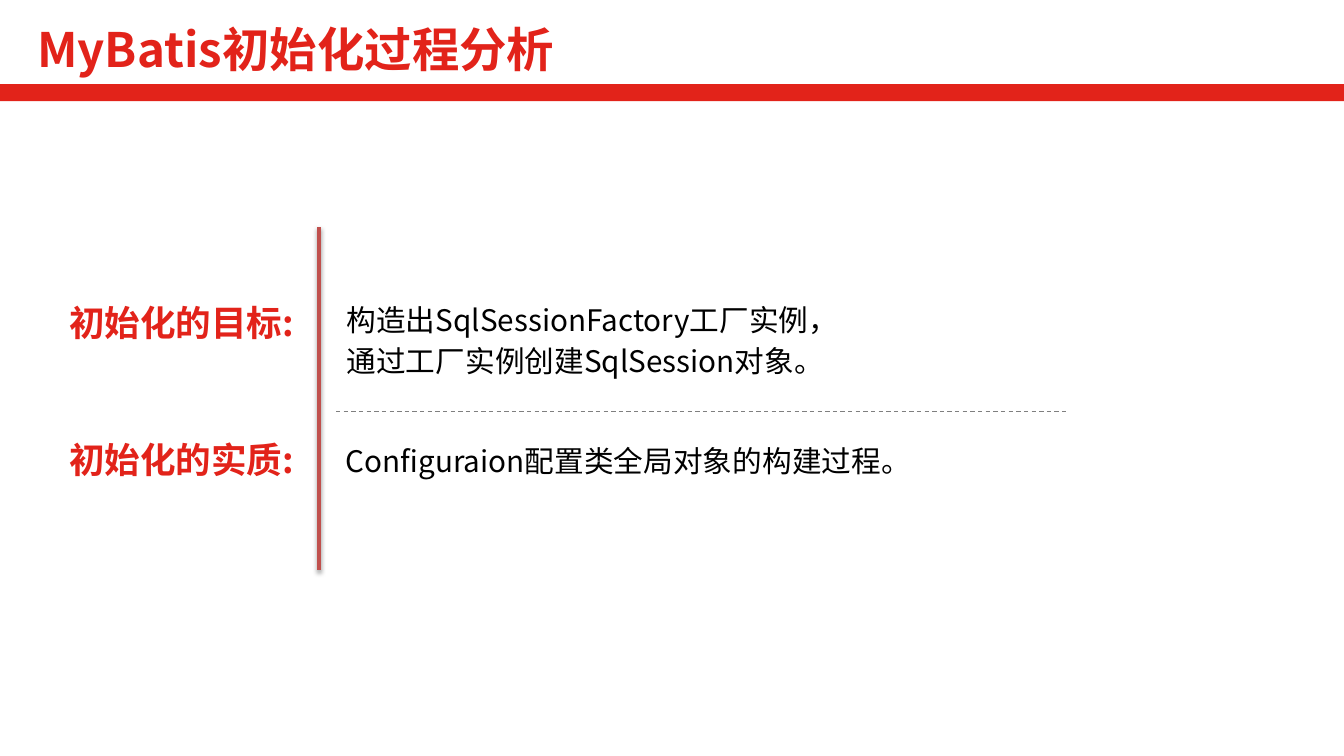
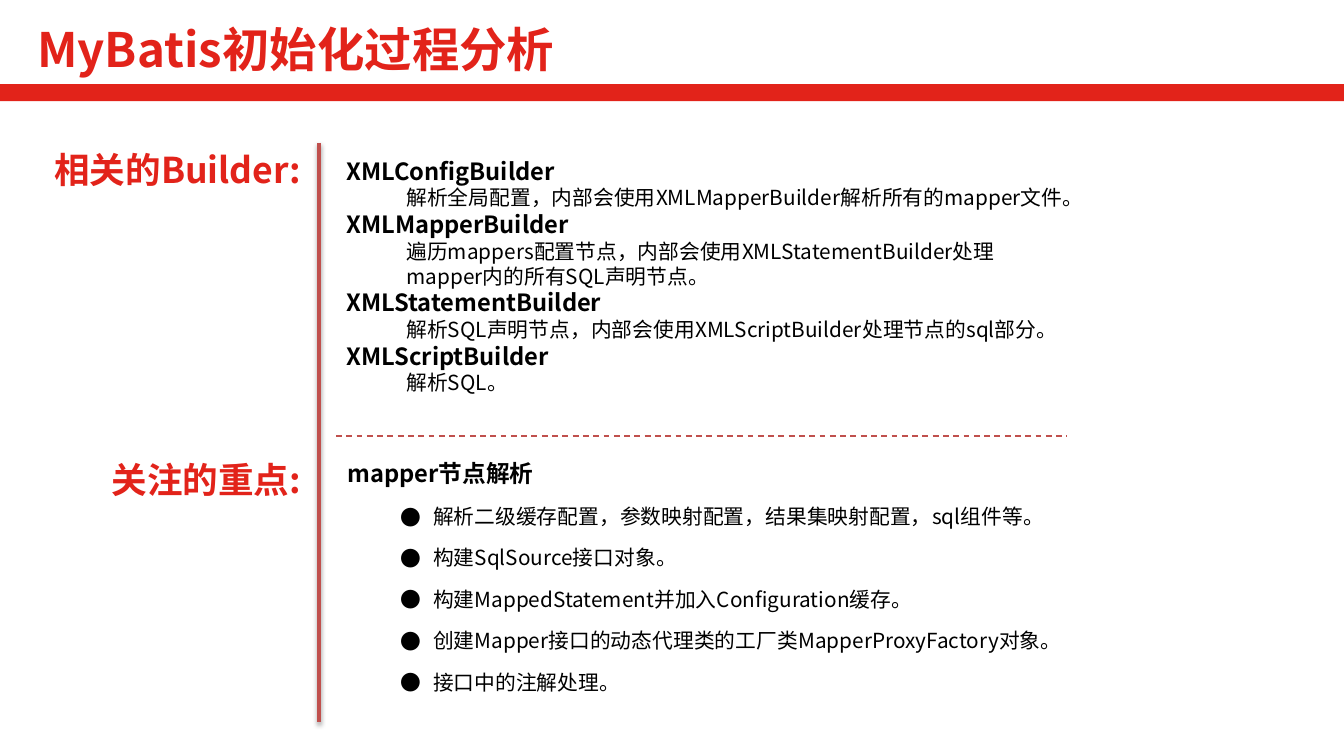
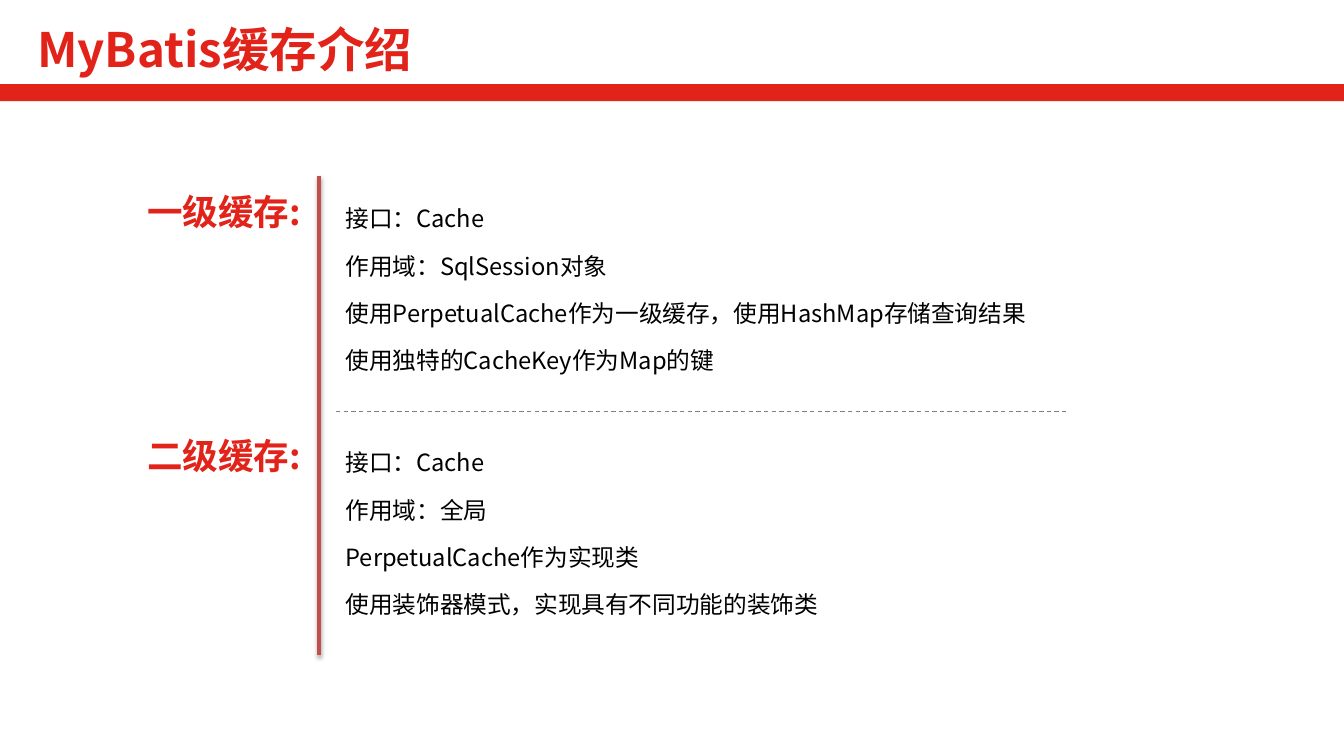
from lxml import etree
from pptx import Presentation
from pptx.dml.color import RGBColor
from pptx.enum.dml import MSO_LINE
from pptx.enum.shapes import MSO_CONNECTOR, MSO_SHAPE
from pptx.enum.text import MSO_ANCHOR, MSO_AUTO_SIZE, PP_ALIGN
from pptx.oxml.ns import qn
from pptx.util import Inches, Pt

LEFT, RIGHT = PP_ALIGN.LEFT, PP_ALIGN.RIGHT
TOP, NO_FIT = MSO_ANCHOR.TOP, MSO_AUTO_SIZE.NONE
STRAIGHT, DASH = MSO_CONNECTOR.STRAIGHT, MSO_LINE.DASH
FONT = "Noto Sans CJK SC"
RED, RULE, GREY, BLACK = "E2231A", "C0504D", "7F7F7F", "000000"


def rgb(color):
    return RGBColor.from_string(color)


def add_text(tf, text, size=16, bold=False, color=BLACK, align=LEFT,
             spacing=1.0, before=0.2, margin=0, indent=0, bullet=None):
    """Add a paragraph; before is a share of the text size."""
    p = tf.paragraphs[0]
    if p.runs:
        p = tf.add_paragraph()
    p.alignment = align
    p.line_spacing = spacing
    p.space_before = Pt(size * before)
    r = p.add_run()
    r.text = text
    r.font.size = Pt(size)
    r.font.bold = bold
    r.font.color.rgb = rgb(color)
    r.font.name = FONT
    etree.SubElement(r._r.get_or_add_rPr(), qn("a:ea"), typeface=FONT)
    pPr = p._p.get_or_add_pPr()
    pPr.set("marL", str(Inches(margin)))
    pPr.set("indent", str(Inches(indent)))
    if bullet:
        etree.SubElement(pPr, qn("a:buFont"), typeface=FONT)
        etree.SubElement(pPr, qn("a:buChar"), char=bullet)
    else:
        etree.SubElement(pPr, qn("a:buNone"))


# Paragraph formats
HEAD = dict(bold=True)
BUILDER = dict(bold=True, before=0)
DETAIL = dict(size=14, before=0, margin=0.56)
BULLET = dict(size=14, spacing=1.5, margin=0.8, indent=-0.31, bullet="●")
LARGE = dict(size=20)
LARGE_OPEN = dict(size=20, spacing=1.5)
OPEN = dict(spacing=1.5)

# Each block: label, label top, text box, paragraphs
SLIDES = [
    dict(title="MyBatis初始化过程分析", label_left=0.55, align=LEFT,
         rule=(2.13, 5.35), divider=(3.86, GREY, 0.75), blocks=[
             ("初始化的目标:", 2.77, (3.15, 2.61, 6.56, 0.94), [
                 ("构造出SqlSessionFactory工厂实例，", LARGE_OPEN),
                 ("通过工厂实例创建SqlSession对象。", LARGE)]),
             ("初始化的实质:", 4.06, (3.14, 4.1, 6.56, 0.47), [
                 ("Configuraion配置类全局对象的构建过程。", LARGE)]),
         ]),
    dict(title="MyBatis初始化过程分析", label_left=0.32, align=RIGHT,
         rule=(1.34, 6.77), divider=(4.09, RULE, 1), blocks=[
             ("相关的Builder:", 1.34, (3.15, 1.42, 7.6, 2.36), [
                 ("XMLConfigBuilder", BUILDER),
                 ("解析全局配置，内部会使用XMLMapperBuilder解析所有的mapper文件。", DETAIL),
                 ("XMLMapperBuilder", BUILDER),
                 ("遍历mappers配置节点，内部会使用XMLStatementBuilder处理", DETAIL),
                 ("mapper内的所有SQL声明节点。", DETAIL),
                 ("XMLStatementBuilder", BUILDER),
                 ("解析SQL声明节点，内部会使用XMLScriptBuilder处理节点的sql部分。", DETAIL),
                 ("XMLScriptBuilder", BUILDER),
                 ("解析SQL。", DETAIL)]),
             ("关注的重点:", 4.25, (3.16, 4.25, 8.26, 2.52), [
                 ("mapper节点解析", HEAD),
                 ("解析二级缓存配置，参数映射配置，结果集映射配置，sql组件等。", BULLET),
                 ("构建SqlSource接口对象。", BULLET),
                 ("构建MappedStatement并加入Configuration缓存。", BULLET),
                 ("创建Mapper接口的动态代理类的工厂类MapperProxyFactory对象。", BULLET),
                 ("接口中的注解处理。", BULLET)]),
         ]),
    dict(title="MyBatis缓存介绍", label_left=0.32, align=RIGHT,
         rule=(1.65, 6.14), divider=(3.86, GREY, 0.75), blocks=[
             ("一级缓存:", 1.73, (3.14, 1.73, 7.02, 2.28), [
                 ("接口：Cache", OPEN),
                 ("作用域：SqlSession对象", OPEN),
                 ("使用PerpetualCache作为一级缓存，使用HashMap存储查询结果", OPEN),
                 ("使用独特的CacheKey作为Map的键", OPEN)]),
             ("二级缓存:", 4.02, (3.14, 4.02, 6.56, 2.28), [
                 ("接口：Cache", OPEN),
                 ("作用域：全局", OPEN),
                 ("PerpetualCache作为实现类", OPEN),
                 ("使用装饰器模式，实现具有不同功能的装饰类", OPEN)]),
         ]),
]

prs = Presentation()
prs.slide_width, prs.slide_height = Inches(12.6), Inches(7.09)
layout = prs.slide_layouts.get_by_name("Two Content")

for data in SLIDES:
    s = prs.slides.add_slide(layout)

    # Red band under the title
    band = s.shapes.add_shape(MSO_SHAPE.RECTANGLE, 0, Inches(0.79),
                              prs.slide_width, Inches(0.16))
    band.shadow.inherit = False
    band.fill.solid()
    band.fill.fore_color.rgb = rgb(RED)
    band.line.fill.background()

    # Title and the two text blocks fill the layout's placeholders
    title, *bodies = s.placeholders
    frames = [(title, (0.25, 0.14, 6.69, 0.71),
               [(data["title"], dict(size=32, bold=True, color=RED))])]
    for body, (label, top, box, paragraphs) in zip(bodies, data["blocks"]):
        frames.append((body, box, paragraphs))

        # Label left of the block
        tb = s.shapes.add_textbox(Inches(data["label_left"]), Inches(top),
                                  Inches(2.6), Inches(0.5))
        tb.text_frame.word_wrap = True
        add_text(tb.text_frame, label, size=24, bold=True, color=RED,
                 align=data["align"], before=0)

    for sp, box, paragraphs in frames:
        sp.left, sp.top, sp.width, sp.height = map(Inches, box)
        tf = sp.text_frame
        tf.word_wrap = True
        tf.auto_size = NO_FIT
        tf.vertical_anchor = TOP
        for text, style in paragraphs:
            add_text(tf, text, **style)

    # Vertical rule with a soft shadow, dashed divider without one
    top, bottom = data["rule"]
    y, color, width = data["divider"]
    for ends, line_color, line_width, dashed in [
            ((2.99, top, 2.99, bottom), RULE, 3, False),
            ((3.15, y, 10, y), color, width, True)]:
        line = s.shapes.add_connector(STRAIGHT, *map(Inches, ends))
        line.line.color.rgb = rgb(line_color)
        line.line.width = Pt(line_width)
        effects = etree.SubElement(line._element.spPr, qn("a:effectLst"))
        if dashed:
            line.line.dash_style = DASH
        else:
            shadow = etree.SubElement(
                effects, qn("a:outerShdw"), blurRad=str(Pt(3.1)),
                dist=str(Pt(1.8)), dir="5400000", rotWithShape="0")
            shade = etree.SubElement(shadow, qn("a:srgbClr"), val=BLACK)
            etree.SubElement(shade, qn("a:alpha"), val="35000")

prs.save("out.pptx")
